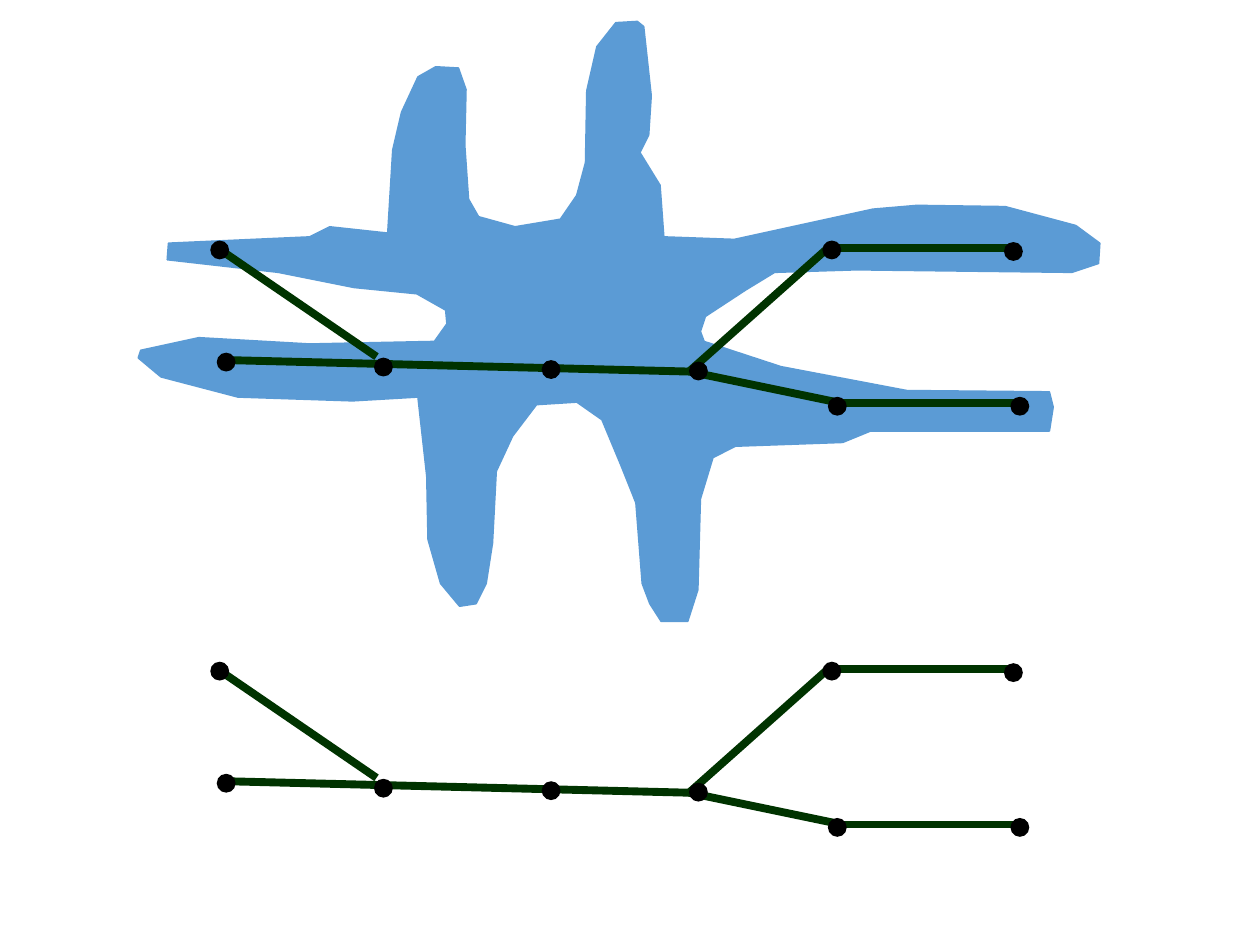
from pptx import Presentation
from pptx.dml.color import RGBColor
from pptx.enum.shapes import MSO_CONNECTOR, MSO_SHAPE
from pptx.oxml.ns import qn
from pptx.util import Cm, Pt
from lxml.etree import SubElement

BLOB_COLOR = "5B9BD5"
EDGE_COLOR = "003300"
NODE_COLOR = "000000"
NODE_SIZE = 0.38
OUTLINE_UNIT = Cm(0.0254)

UPPER_LEFT_ARM = [
    (245, 241), (244, 230), (221, 217), (171, 212), (111, 200),
    (23, 190), (24, 177), (136, 172), (152, 164), (198, 169),
]
UPPER_LEGS = [
    (202, 103), (209, 73), (222, 45), (236, 37), (254, 38), (260, 55),
    (259, 99), (262, 142), (270, 156), (299, 164), (335, 158), (348, 139),
    (355, 113), (356, 56), (364, 21), (379, 2), (396, 1), (401, 5),
    (407, 60), (405, 91), (398, 105), (414, 131), (417, 172),
]
RIGHT_ARMS = [
    (473, 174), (583, 150), (618, 147), (688, 148), (744, 163), (763, 177),
    (762, 193), (741, 200), (570, 198), (505, 200), (482, 214), (450, 235),
    (446, 247), (449, 255), (510, 275), (610, 294), (723, 295), (726, 307),
    (723, 326), (581, 326), (559, 335), (474, 338),
]
LOWER_LEGS = [
    (456, 347), (446, 380), (444, 452), (436, 477), (415, 477), (406, 463),
    (400, 447), (395, 383), (383, 353), (368, 317), (348, 303), (316, 305),
    (297, 330), (284, 358), (281, 415), (276, 447), (268, 463), (255, 465),
    (240, 447), (230, 412), (229, 362), (222, 299),
]
LOWER_LEFT_ARM = [
    (170, 302), (79, 299), (18, 283), (0, 268), (2, 262), (48, 252), (136, 257), (235, 255),
]
OUTLINE = UPPER_LEFT_ARM + UPPER_LEGS + RIGHT_ARMS + LOWER_LEGS + LOWER_LEFT_ARM

EDGES = [
    ((0.15, 0.15), (3.35, 2.34)),
    ((0.38, 2.41), (9.65, 2.64)),
    ((9.65, 2.64), (12.73, 3.28)),
    ((9.65, 2.64), (12.45, 0.15)),
    ((12.45, 0.15), (16.13, 0.15)),
    ((12.6, 3.28), (16.38, 3.28)),
]
NODES = [
    (0, 0), (0.13, 2.26), (3.3, 2.36), (6.68, 2.41), (9.65, 2.44),
    (12.34, 0), (12.45, 3.15), (16, 0.03), (16.13, 3.15),
]


def color(value):
    return RGBColor.from_string(value)


def add_blob(shapes, left, top):
    builder = shapes.build_freeform(*OUTLINE[0], scale=OUTLINE_UNIT)
    builder.add_line_segments(OUTLINE[1:], close=True)
    blob = builder.convert_to_shape(Cm(left), Cm(top))
    blob.shadow.inherit = False
    blob.fill.solid()
    blob.fill.fore_color.rgb = color(BLOB_COLOR)
    blob.line.color.rgb = color(BLOB_COLOR)
    blob.line.width = Pt(1)


def add_skeleton(shapes, left, top):
    for (start_x, start_y), (end_x, end_y) in EDGES:
        edge = shapes.add_connector(
            MSO_CONNECTOR.STRAIGHT,
            Cm(left + start_x), Cm(top + start_y),
            Cm(left + end_x), Cm(top + end_y),
        )
        edge.line.color.rgb = color(EDGE_COLOR)
        edge.line.width = Pt(4.5)
        SubElement(edge._element.spPr, qn("a:effectLst"))
    for x, y in NODES:
        node = shapes.add_shape(
            MSO_SHAPE.OVAL, Cm(left + x), Cm(top + y), Cm(NODE_SIZE), Cm(NODE_SIZE)
        )
        node.shadow.inherit = False
        node.fill.solid()
        node.fill.fore_color.rgb = color(NODE_COLOR)
        node.line.fill.background()


def main():
    deck = Presentation()
    deck.slide_width, deck.slide_height = Cm(25.4), Cm(19.05)
    page = deck.slides.add_slide(deck.slide_layouts[6])
    figure = page.shapes.add_group_shape()
    add_blob(figure.shapes, 2.79, 0.41)
    add_skeleton(figure.shapes, 4.24, 4.85)
    skeleton = page.shapes.add_group_shape()
    add_skeleton(skeleton.shapes, 4.24, 13.34)
    deck.save("out.pptx")


if __name__ == "__main__":
    main()
